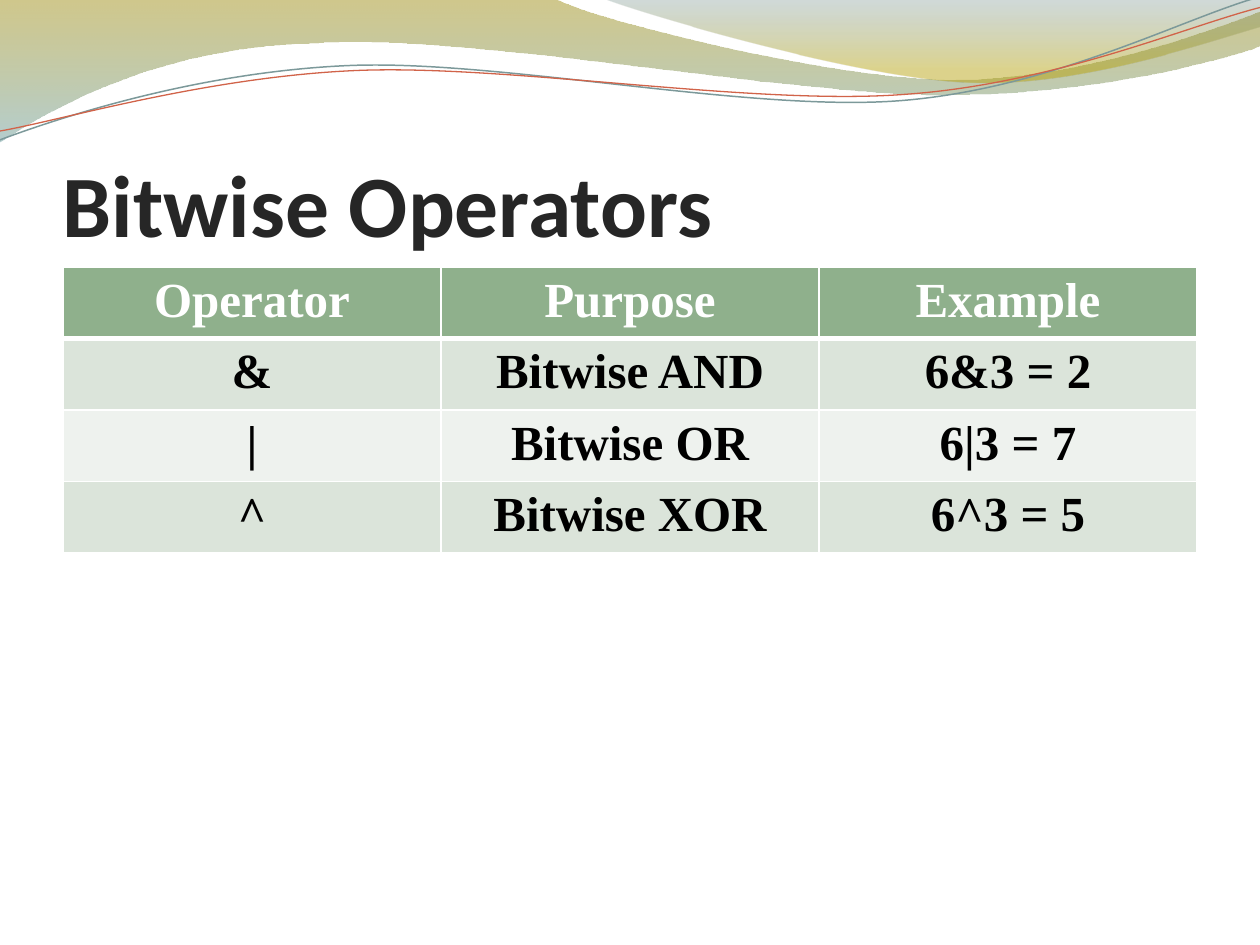
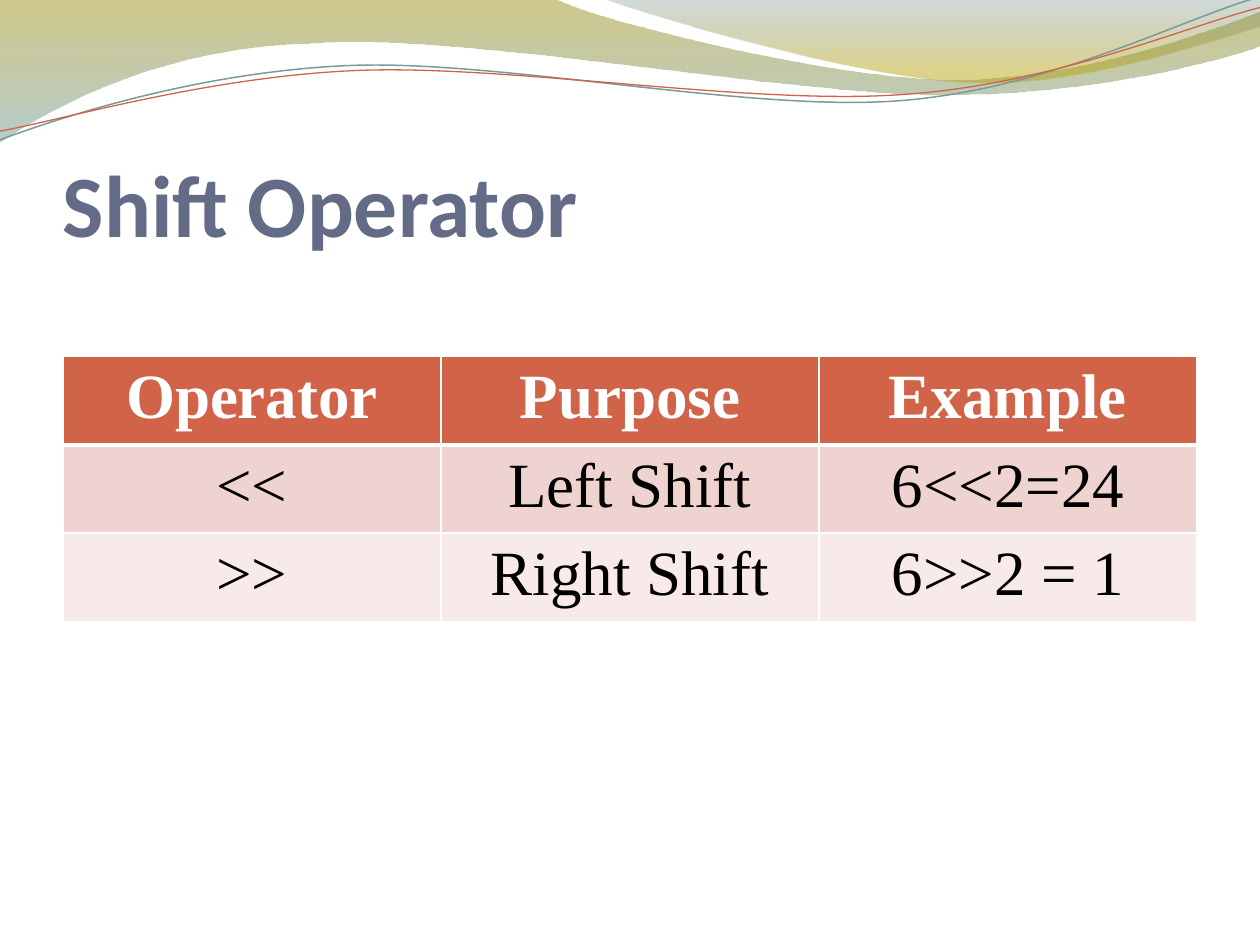
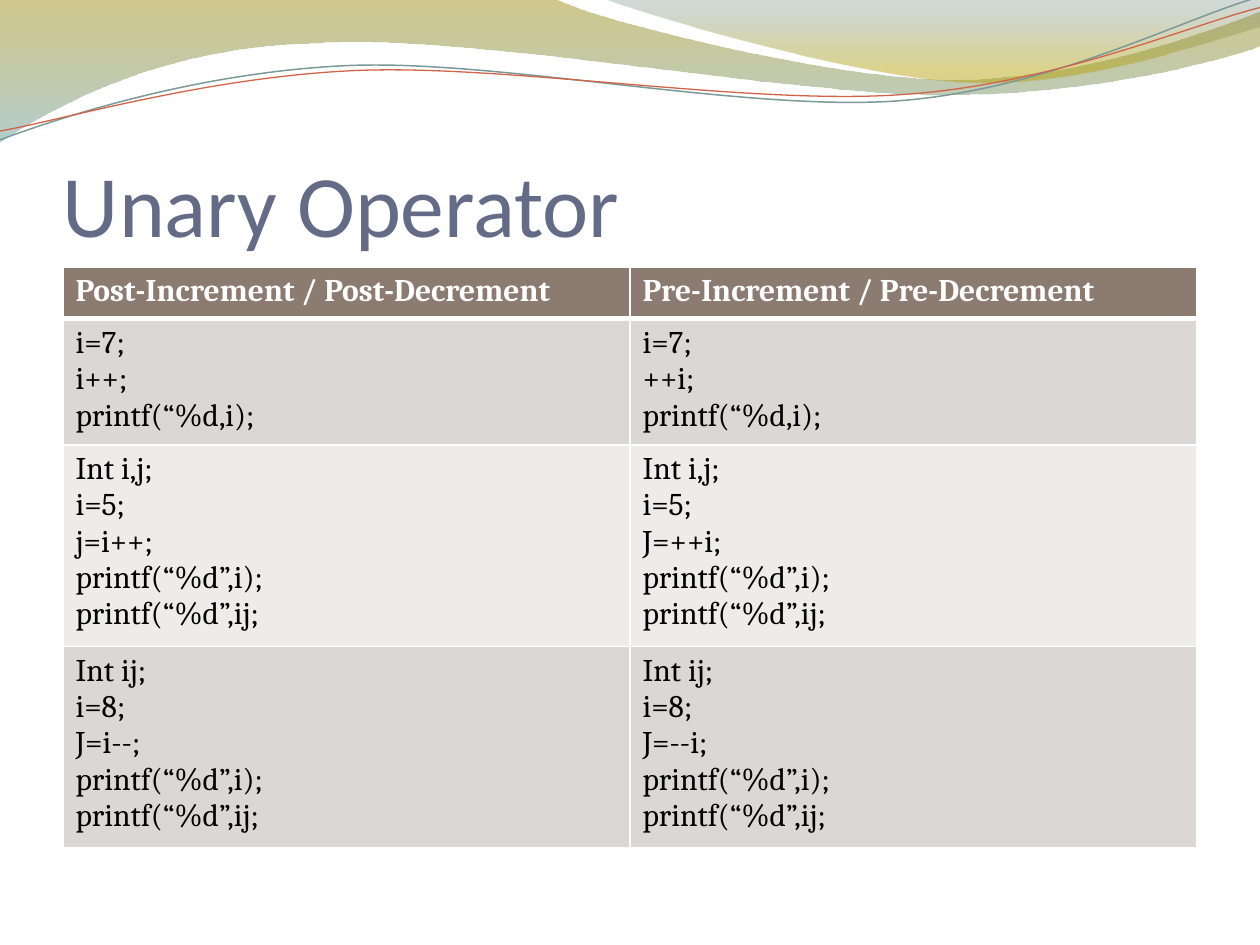
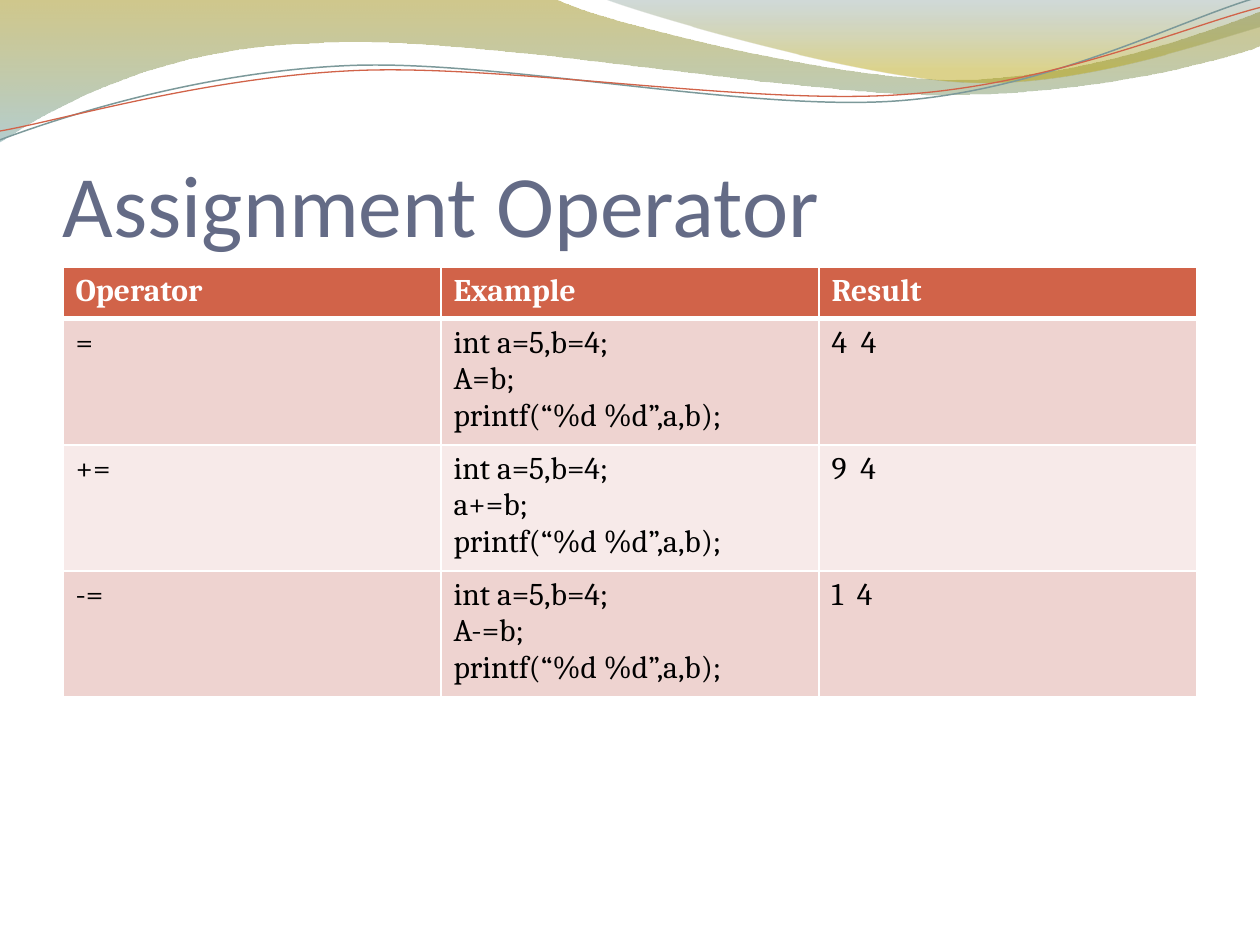
from math import cos, radians, sin
from lxml.etree import SubElement as Sub
from pptx import Presentation as Deck
from pptx.dml.color import RGBColor as Color
from pptx.enum.text import MSO_ANCHOR as Anchor, PP_ALIGN as Align
from pptx.oxml.ns import qn
from pptx.util import Inches, Pt

WHITE, BLACK, SLATE, DARK = "FFFFFF", "000000", "646B86", "262626"
GREEN = ("8FB08C", "DBE4DA", "EEF2EE")
RED = ("D16349", "EED3D0", "F7EAE9")
BROWN = ("8C7B70", "DAD7D5", "EEECEB")
BAND = (0, 0, 10, 1.14)
TITLE = (0.5, 0.77, 9, 1.25)
TILT = 357.3
ROW = 0.41

SWEEP = [
    (0, 0), (4.4, -0.01), (4.76, 0.17, 6.64, 0.63, 7.58, 0.63),
    (8.53, 0.63, 9.58, 0.26, 10, 0.09), (10.01, 0.36),
    (9.83, 0.44, 8.7, 0.76, 7.46, 0.75), (6.22, 0.75, 3.82, 0.28, 2.57, 0.34),
    (1.29, 0.36, 0.46, 0.83, -0.01, 1.13), (0, 0),
]
CREST = [
    (4.79, -0.01), (5.09, 0.11, 6.82, 0.62, 7.69, 0.65),
    (8.56, 0.69, 9.61, 0.32, 10, 0.21), (10, 0), (4.79, -0.01),
]
TEAL_LINE = [
    (0, 1.11), (0.48, 0.93, 1.58, 0.57, 2.77, 0.52),
    (3.95, 0.47, 5.93, 0.89, 7.13, 0.8), (8.33, 0.71, 9.38, 0.15, 9.98, -0.02),
]
RED_LINE = [
    (0, 1.04), (0.47, 0.96, 1.64, 0.61, 2.83, 0.56),
    (4.03, 0.51, 5.97, 0.84, 7.17, 0.75), (8.36, 0.67, 9.41, 0.21, 10, 0.06),
]
FILLS = [
    (SWEEP, [(0, "978500", 45), (1, "77A5A6", 55)]),
    (CREST, [(0, "648484", 30), (0.8, "B49F00", 45)]),
]
LINES = [
    (TEAL_LINE, (4.99, 0.58), "7C999A", 0.85),
    (RED_LINE, (5, 0.59), "D16349", 0.75),
]

BITS = [
    ["Operator", "Purpose", "Example"],
    ["&", "Bitwise AND", "6&3 = 2"],
    ["|", "Bitwise OR", "6|3 = 7"],
    ["^", "Bitwise XOR", "6^3 = 5"],
]
SHIFTS = [
    ["Operator", "Purpose", "Example"],
    ["<<", "Left Shift", "6<<2=24"],
    [">>", "Right Shift", "6>>2 = 1"],
]
PRINTS = "printf(“%d”,i);\nprintf(“%d”,ij;"
UNARY = [
    ["Post-Increment / Post-Decrement", "Pre-Increment / Pre-Decrement"],
    [f"i=7;\n{step};\nprintf(“%d,i);" for step in ("i++", "++i")],
    [f"Int i,j;\ni=5;\n{step};\n{PRINTS}" for step in ("j=i++", "J=++i")],
    [f"Int ij;\ni=8;\n{step};\n{PRINTS}" for step in ("J=i--", "J=--i")],
]
ASSIGN = [["Operator", "Example", "Result"]] + [
    [sign, f"int a=5,b=4;\n{step};\nprintf(“%d %d”,a,b);", result]
    for sign, step, result in [
        ("=", "A=b", "4  4"), ("+=", "a+=b", "9  4"), ("-=", "A-=b", "1  4"),
    ]
]


def tint(code):
    return Color.from_string(code)


def style(frame, font, size, color, bold, align=Align.LEFT):
    for para in frame.paragraphs:
        para.alignment = align
        for run in para.runs:
            run.font.name = font
            run.font.size = Pt(size)
            run.font.bold = bold
            run.font.color.rgb = tint(color)


def turn(points, mid, angle):
    co, si = cos(radians(angle)), sin(radians(angle))
    mx, my = mid
    return [(mx + (x - mx) * co - (y - my) * si,
             my + (x - mx) * si + (y - my) * co) for x, y in points]


def bend(shape, parts):
    legs = iter(list(shape._element.iter(qn("a:lnTo"))))
    for part in parts:
        leg = next(legs)
        if len(part) == 6:
            leg.tag = qn("a:cubicBezTo")
            for _ in range(2):
                extra = next(legs)
                leg.append(extra[0])
                extra.getparent().remove(extra)


def draw(slide, box, trail, mid=(0, 0), angle=0):
    points = [part[i:i + 2] for part in trail for i in range(0, len(part), 2)]
    spots = [(Inches(box[0] + x), Inches(box[1] + y))
             for x, y in turn(points, mid, -angle)]
    pen = slide.shapes.build_freeform(*spots[0], scale=1.0)
    pen.add_line_segments(spots[1:], close=trail[0] == trail[-1])
    shape = pen.convert_to_shape()
    bend(shape, trail[1:])
    shape.rotation = angle
    shape.shadow.inherit = False
    return shape


def add_waves(slide, box):
    for trail, stops in FILLS:
        shape = draw(slide, box, trail)
        shape.line.fill.background()
        shape.fill.gradient()
        shape.fill.gradient_angle = 270
        for stop, (place, color, _) in zip(shape.fill.gradient_stops, stops):
            stop.position = place
            stop.color.rgb = tint(color)
        marks = shape._element.iter(qn("a:gs"))
        for mark, (_, _, alpha) in zip(marks, stops):
            Sub(mark[0], qn("a:alpha"), val=str(alpha * 1000))
    for trail, mid, color, width in LINES:
        shape = draw(slide, box, trail, mid, TILT)
        shape.fill.background()
        shape.line.color.rgb = tint(color)
        shape.line.width = Pt(width)


def add_title(slide, box, text, color, bold):
    frame = slide.shapes.add_textbox(*map(Inches, box)).text_frame
    frame.word_wrap = True
    frame.vertical_anchor = Anchor.BOTTOM
    frame.margin_left = frame.margin_right = frame.margin_bottom = 0
    frame.margin_top = Inches(0.05)
    frame.text = text
    style(frame, "Calibri", 50, color, bold)


def add_edges(cell, top, bottom):
    props = cell._tc.get_or_add_tcPr()
    for side, width in (("L", 1), ("R", 1), ("T", top), ("B", bottom)):
        line = Sub(props, qn(f"a:ln{side}"), w=str(Pt(width)))
        fill = Sub(line, qn("a:solidFill"))
        Sub(fill, qn("a:srgbClr"), val=WHITE)


def add_grid(slide, box, rows, fills, font, size, align, bold):
    shape = slide.shapes.add_table(len(rows), len(rows[0]), *map(Inches, box))
    table = shape.table
    table.first_row = table.horz_banding = False
    for r, texts in enumerate(rows):
        table.rows[r].height = Inches(ROW)
        head = r == 0
        fill = fills[0] if head else fills[2 - r % 2]
        for c, text in enumerate(texts):
            cell = table.cell(r, c)
            add_edges(cell, 3 if r == 1 else 1, 3 if head else 1)
            cell.fill.solid()
            cell.fill.fore_color.rgb = tint(fill)
            cell.text_frame.text = text
            style(cell.text_frame, font, size, WHITE if head else BLACK,
                  head or bold, align)


def main():
    deck = Deck()
    deck.slide_width, deck.slide_height = Inches(10), Inches(7.5)
    large = ("Times New Roman", 28, Align.CENTER, True)
    huge = ("Times New Roman", 36, Align.CENTER, False)
    small = ("Cambria", 18, Align.LEFT, False)
    pages = [
        ("Bitwise Operators", DARK, True, 2.12, BITS, GREEN, large),
        ("Shift Operator", SLATE, True, 2.83, SHIFTS, RED, huge),
        ("Unary Operator", SLATE, False, 2.12, UNARY, BROWN, small),
        ("Assignment Operator", SLATE, False, 2.12, ASSIGN, RED, small),
    ]
    for text, color, bold, top, rows, fills, look in pages:
        slide = deck.slides.add_slide(deck.slide_layouts[6])
        add_waves(slide, BAND)
        add_title(slide, TITLE, text, color, bold)
        add_grid(slide, (0.5, top, 9, ROW * len(rows)), rows, fills, *look)
    deck.save("out.pptx")


if __name__ == "__main__":
    main()
